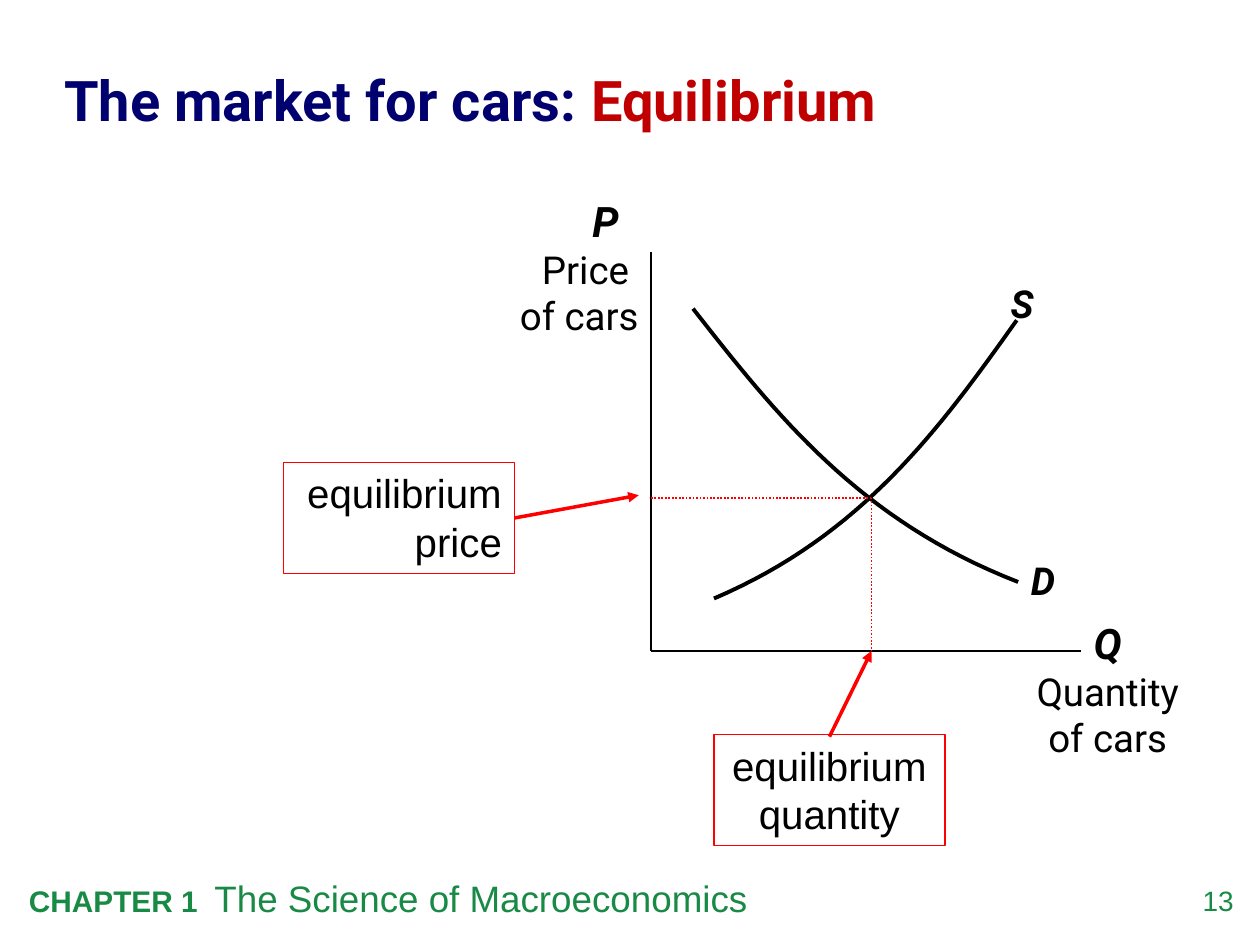
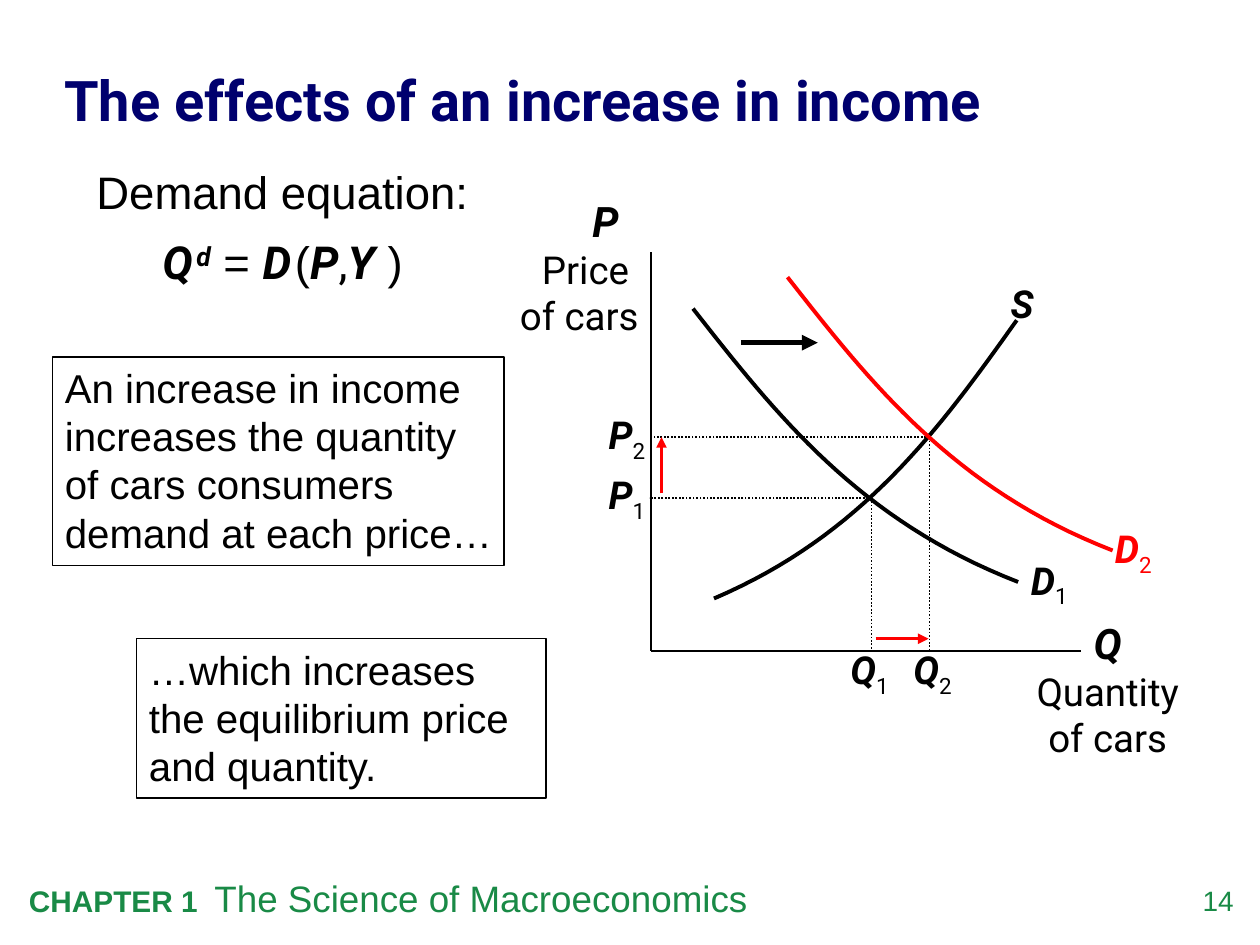
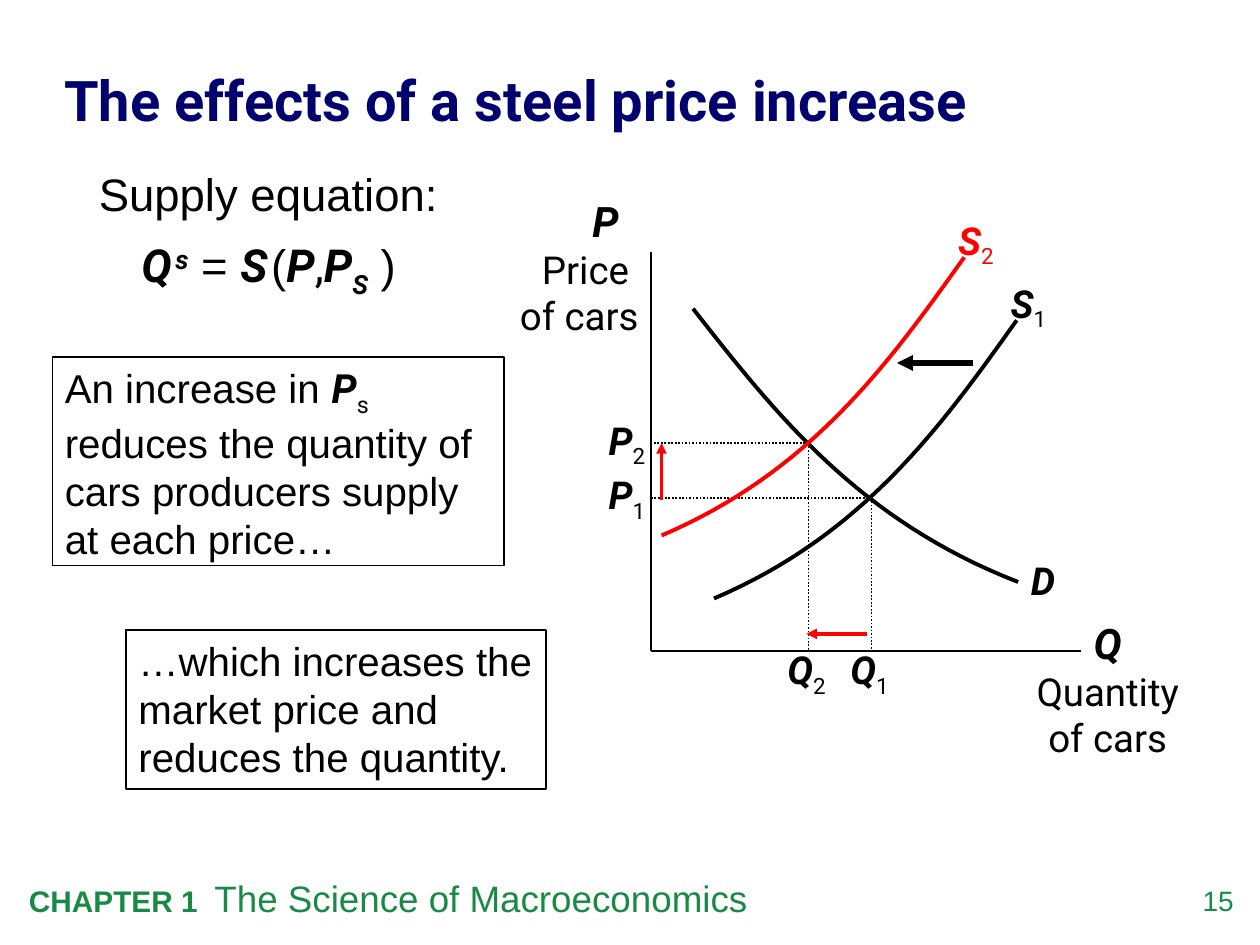
import collections
import dataclasses

import lxml.etree
import pptx
import pptx.dml.color
import pptx.enum.dml
import pptx.enum.shapes
import pptx.enum.text
import pptx.oxml.ns
import pptx.util

Pt = pptx.util.Pt
ALIGN = pptx.enum.text.PP_ALIGN
Box = collections.namedtuple("Box", "left top width height")

BLACK, WHITE, RED = "000000", "FFFFFF", "FF0000"
NAVY, CRIMSON, GREEN = "00006E", "C00000", "198A46"
BODY, DISPLAY = "Arial", "Roboto"
INSETS = (7.2, 3.6, 7.2, 3.6)
NO_INSETS = (0, 0, 0, 0)

GRAPH = Box(282, 108, 402, 330)
AXIS_X, AXIS_TOP, AXIS_Y, AXIS_END = 90, 36, 264, 336
SUPPLY = ((299, 75), (255, 137), (210.5, 198), (126, 234))
DEMAND = ((114, 68.4), (161.5, 129), (209, 189.4), (299.8, 224.6))
FIRST_POINT = (216, 176.4)


@dataclasses.dataclass
class Span:
    """Hold a piece of text with its character format."""
    text: str
    size: float
    font: str = BODY
    colour: str = BLACK
    bold: bool = False
    italic: bool = False
    baseline: int = 0


def variable(letter, size=22, colour=BLACK, baseline=0):
    """Return a span for a symbol in bold italics."""
    return Span(letter, size, DISPLAY, colour, True, True, baseline)


def symbol(letter, number="", colour=BLACK):
    """Return the spans of a symbol with an optional subscript."""
    spans = [variable(letter, colour=colour)]
    if number:
        spans.append(Span(number, 22, DISPLAY, colour, baseline=-25))
    return spans


def rgb(value):
    """Turn a hex string into a colour."""
    return pptx.dml.color.RGBColor.from_string(value)


def add_span(para, piece):
    """Append a formatted span, turning newlines into line breaks."""
    for index, text in enumerate(piece.text.split("\n")):
        if index:
            para.add_line_break()
        span = para.add_run()
        span.text = text
        span.font.size = Pt(piece.size)
        span.font.name = piece.font
        span.font.bold = piece.bold
        span.font.italic = piece.italic
        span.font.color.rgb = rgb(piece.colour)
        if piece.baseline:
            span._r.get_or_add_rPr().set("baseline", str(piece.baseline * 1000))


def write(shape, paragraphs, align=ALIGN.LEFT, insets=INSETS, spacing=None, gap=0,
          anchor=pptx.enum.text.MSO_ANCHOR.TOP):
    """Fill a shape with paragraphs of spans."""
    frame = shape.text_frame
    frame.word_wrap = True
    frame.vertical_anchor = anchor
    (frame.margin_left, frame.margin_top,
     frame.margin_right, frame.margin_bottom) = map(Pt, insets)
    for index, spans in enumerate(paragraphs):
        para = frame.add_paragraph() if index else frame.paragraphs[0]
        para.alignment = align
        if spacing:
            para.line_spacing = spacing
        if index and gap:
            para.space_before = Pt(gap)
        for piece in spans:
            add_span(para, piece)


def label(slide, box, paragraphs, **layout):
    """Add a text box."""
    write(slide.shapes.add_textbox(*map(Pt, box)), paragraphs, **layout)


def inside(box, left, top, width, height):
    """Return a box placed relative to another box."""
    return Box(box.left + left, box.top + top, width, height)


def note(slide, box, spans, colour=BLACK, **layout):
    """Add a framed white note."""
    shape = slide.shapes.add_shape(
        pptx.enum.shapes.MSO_SHAPE.RECTANGLE, *map(Pt, box))
    shape.shadow.inherit = False
    shape.fill.solid()
    shape.fill.fore_color.rgb = rgb(WHITE)
    shape.line.color.rgb = rgb(colour)
    shape.line.width = Pt(0.75)
    write(shape, [spans], **layout)


def line(slide, box, start, end, colour=BLACK, width=0.75, dotted=False):
    """Draw a straight line between two points of a box."""
    connector = slide.shapes.add_connector(
        pptx.enum.shapes.MSO_CONNECTOR.STRAIGHT,
        Pt(box.left + start[0]), Pt(box.top + start[1]),
        Pt(box.left + end[0]), Pt(box.top + end[1]))
    connector.line.color.rgb = rgb(colour)
    connector.line.width = Pt(width)
    if dotted:
        connector.line.dash_style = pptx.enum.dml.MSO_LINE.ROUND_DOT
    lxml.etree.SubElement(connector._element.spPr, pptx.oxml.ns.qn("a:effectLst"))
    return connector


def arrow(slide, box, start, end, colour=RED, width=2):
    """Draw a line with an arrowhead at its end."""
    connector = line(slide, box, start, end, colour, width)
    head = lxml.etree.SubElement(
        connector.line._get_or_add_ln(), pptx.oxml.ns.qn("a:tailEnd"))
    head.set("type", "triangle")


def curve(slide, box, controls, shift=(0, 0), colour=BLACK, steps=32):
    """Draw a cubic curve from its four control points."""
    points = []
    for step in range(steps + 1):
        t = step / steps
        weights = ((1 - t) ** 3, 3 * t * (1 - t) ** 2, 3 * t ** 2 * (1 - t), t ** 3)
        x, y = (sum(w * c[axis] for w, c in zip(weights, controls)) + shift[axis]
                for axis in (0, 1))
        points.append((Pt(box.left + x), Pt(box.top + y)))
    builder = slide.shapes.build_freeform(*points[0])
    builder.add_line_segments(points[1:], close=False)
    shape = builder.convert_to_shape()
    shape.shadow.inherit = False
    shape.fill.background()
    shape.line.color.rgb = rgb(colour)
    shape.line.width = Pt(2.25)


def guides(slide, box, point, colour=BLACK):
    """Draw dotted lines from a point to both axes."""
    x, y = point
    line(slide, box, point, (AXIS_X - 1, y), colour, 1, True)
    line(slide, box, point, (x, AXIS_Y), colour, 1, True)


def marked_point(slide, box, point, number, quantity_left):
    """Draw the guides of a point and name its price and quantity."""
    guides(slide, box, point)
    label(slide, inside(box, 65.8, point[1] - 15, 30, 27),
          [symbol("P", number)], insets=NO_INSETS)
    label(slide, inside(box, quantity_left, 261.2, 30, 27),
          [symbol("Q", number)], insets=NO_INSETS)


def market_graph(slide, box, supply_number="", demand_number=""):
    """Draw the axes with the first supply and demand curves."""
    line(slide, box, (AXIS_X, AXIS_TOP), (AXIS_X, AXIS_Y))
    line(slide, box, (AXIS_X, AXIS_Y), (AXIS_END, AXIS_Y))
    label(slide, inside(box, 300, 241.2, 102, 88.6),
          [[variable("Q", 24), Span(" Quantity of cars", 22, DISPLAY)]],
          align=ALIGN.CENTER)
    label(slide, inside(box, 0, 0, 90, 89),
          [[variable("P ", 24), Span(" \nPrice \nof cars", 22, DISPLAY)]],
          align=ALIGN.RIGHT)
    curve(slide, box, SUPPLY)
    label(slide, inside(box, 288.5, 48.2, 42, 34), [symbol("S", supply_number)])
    curve(slide, box, DEMAND)
    label(slide, inside(box, 300, 206.6, 42, 34), [symbol("D", demand_number)])


def equation(slide, box, heading, exponent, function, argument):
    """Write a heading above the equation of a curve."""
    thin = variable(" ", 8)
    formula = [variable("Q", 26), thin, variable(exponent, 26, baseline=30),
               Span(" = ", 26), variable(function, 26), thin, Span("(", 26),
               variable("P", 26), Span(",", 26, DISPLAY), *argument, Span(" )", 26)]
    label(slide, box, [[Span(heading, 26)], formula],
          align=ALIGN.CENTER, spacing=1.05, gap=7.5)


def footer(slide, box, number):
    """Write the chapter and the page number."""
    label(slide, inside(box, 9.4, 0, 589, 32.4),
          [[Span("CHAPTER 1  ", 17, colour=GREEN, bold=True),
            Span("The Science of Macroeconomics", 21, colour=GREEN)]])
    label(slide, inside(box, 665.3, 7.9, 39.6, 23),
          [[Span(str(number), 16, colour=GREEN)]],
          align=ALIGN.RIGHT, insets=NO_INSETS)


def new_slide(deck, number, title, accent=""):
    """Add a slide with its title and footer."""
    slide = deck.slides.add_slide(deck.slide_layouts[6])
    footer(slide, Box(0, 496.8, 720, 43.2), number)
    spans = [Span(title, 32, DISPLAY, NAVY, True)]
    if accent:
        spans.append(Span(accent, 32, DISPLAY, CRIMSON, True))
    label(slide, Box(36.7, 18.7, 649.4, 74.2), [spans], insets=NO_INSETS,
          spacing=1.05, anchor=pptx.enum.text.MSO_ANCHOR.MIDDLE)
    return slide


def equilibrium_slide(deck, box):
    """Show the equilibrium price and quantity."""
    slide = new_slide(deck, 13, "The market for cars: ", "Equilibrium")
    market_graph(slide, box)
    note(slide, inside(box, -120, 156.2, 132, 63.4),
         [Span("equilibrium price", 23)], RED, align=ALIGN.RIGHT)
    note(slide, inside(box, 126, 311.8, 132, 63.4),
         [Span("equilibrium\nquantity", 23)], RED, align=ALIGN.CENTER)
    guides(slide, box, FIRST_POINT, RED)
    arrow(slide, box, (12, 188), (83, 175))
    arrow(slide, box, (192, 313), (FIRST_POINT[0], AXIS_Y))


def income_slide(deck, box):
    """Show demand moving to the right."""
    slide = new_slide(deck, 14, "The effects of an increase in income")
    market_graph(slide, box, demand_number="1")
    marked_point(slide, box, FIRST_POINT, "1", 204)
    note(slide, Box(30, 204, 258, 119),
         [Span("An increase in income increases the quantity \n"
               "of cars consumers demand at each price…", 23)],
         insets=(7.2, 3.6, 3.6, 3.6))
    note(slide, Box(78, 365, 234, 91),
         [Span("…which increases the equilibrium price and quantity.", 23)])
    marked_point(slide, box, (249.2, 141.8), "2", 240)
    arrow(slide, box, (96, 174), (96, 141.8))
    arrow(slide, box, (218.4, 257), (248.6, 257))
    arrow(slide, box, (141.4, 87.8), (185.3, 87.8), BLACK, 3)
    curve(slide, box, DEMAND, (54, -18), RED)
    label(slide, inside(box, 348, 188.6, 48, 34), [symbol("D", "2", RED)])
    equation(slide, Box(41, 88.6, 241, 81), "Demand equation:", "d", "D",
             [variable("Y", 26)])


def steel_slide(deck, box):
    """Show supply moving to the left."""
    slide = new_slide(deck, 15, "The effects of a steel price increase")
    market_graph(slide, box, supply_number="1")
    marked_point(slide, box, FIRST_POINT, "1", 204)
    note(slide, Box(30, 204, 258, 119),
         [Span("An increase in ", 23), variable("P", 23),
          Span("s", 23, DISPLAY, baseline=-25),
          Span(" reduces the quantity of cars producers supply at each price…", 23)])
    note(slide, Box(72, 360, 240, 91),
         [Span("…which increases the market price and reduces the quantity.", 23)])
    marked_point(slide, box, (180, 145.2), "2", 168)
    arrow(slide, box, (96, 178), (96, 145.2))
    arrow(slide, box, (213.4, 254.2), (178.8, 254.2))
    curve(slide, box, SUPPLY, (-30, -36), RED)
    label(slide, inside(box, 258.5, 12.2, 42, 34), [symbol("S", "2", RED)])
    arrow(slide, box, (273.8, 99.4), (230.6, 99.4), BLACK, 3)
    equation(slide, Box(33, 90, 241, 81), "Supply equation:", "s", "S",
             [variable("P", 26), variable("S", 26, baseline=-25)])


def main():
    """Build and save the deck."""
    deck = pptx.Presentation()
    deck.slide_width, deck.slide_height = Pt(720), Pt(540)
    for build in (equilibrium_slide, income_slide, steel_slide):
        build(deck, GRAPH)
    deck.save("out.pptx")


if __name__ == "__main__":
    main()
